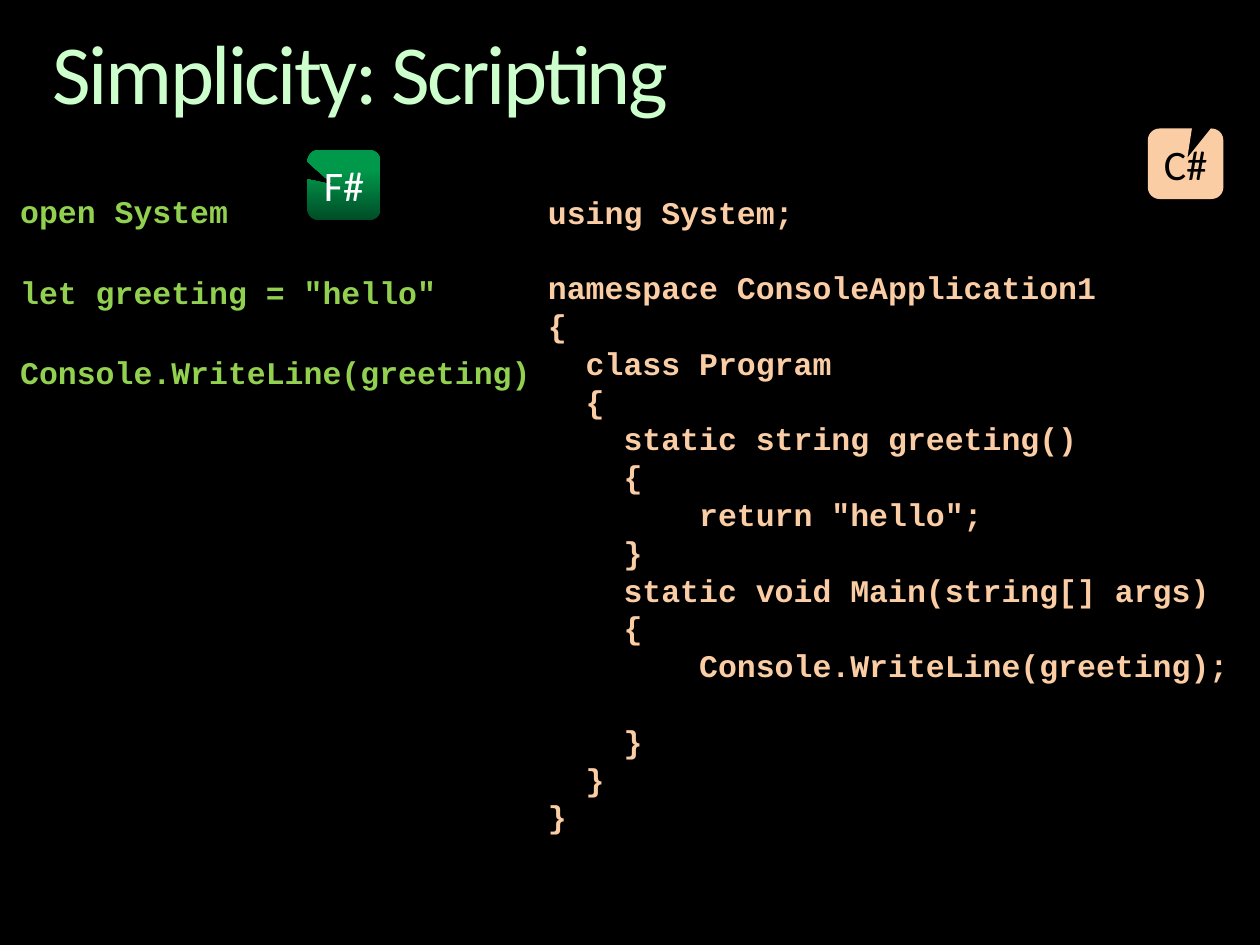
from dataclasses import dataclass

from pptx import Presentation
from pptx.dml.color import RGBColor
from pptx.enum.shapes import MSO_SHAPE
from pptx.enum.text import MSO_ANCHOR, MSO_AUTO_SIZE, PP_ALIGN
from pptx.util import Inches, Pt


@dataclass(frozen=True)
class Theme:
    back: str = "000000"
    title: str = "CCFFCC"
    lime: str = "92D050"
    peach: str = "FBCDA5"
    white: str = "FFFFFF"
    dark: str = "004C26"
    green: str = "00994B"
    sans: str = "Calibri"
    mono: str = "Courier New"
    head: int = 48
    label: int = 24
    code: int = 18


@dataclass(frozen=True)
class Code:
    box: tuple
    inset: tuple
    color: str
    text: str
    gap: float  # points before each line
    skip: float  # points before a line that follows a blank one
    pitch: float = 1.0


@dataclass(frozen=True)
class Badge:
    box: tuple
    text: str
    color: str
    fills: tuple
    tip: tuple


THEME = Theme()

FSHARP = """open System

let greeting = "hello"

Console.WriteLine(greeting)"""

CSHARP = """using System;

namespace ConsoleApplication1
{
  class Program
  {
    static string greeting()
    {
        return "hello";
    }
    static void Main(string[] args)
    {
        Console.WriteLine(greeting);

    }
  }
}"""

CODES = (
    Code((0.16, 1.56, 4.38, 4.95), (0, 0), THEME.lime, FSHARP, 3.6, 26.6, 0.9),
    Code((4.25, 1.48, 5.75, 4.95), (0.1, 0.05), THEME.peach, CSHARP, 0, 21.6),
)
BADGES = (
    Badge((2.44, 1.19, 0.58, 0.56), "F#", THEME.white,
          (THEME.dark, THEME.green), (-0.145, -0.005, 0.167)),
    Badge((9.11, 1.02, 0.6, 0.56), "C#", THEME.back,
          (THEME.peach,), (0.024, -0.085, 0.167)),
)


def rgb(code: str) -> RGBColor:
    return RGBColor.from_string(code)


def apply(item, **values) -> None:
    for name, value in values.items():
        setattr(item, name, value)


def style(font, name: str, size: int, color: str, bold: bool = False) -> None:
    apply(font, name=name, size=Pt(size), bold=bold)
    font.color.rgb = rgb(color)


def pad(frame, side: float, edge: float) -> None:
    apply(frame, margin_left=Inches(side), margin_right=Inches(side),
          margin_top=Inches(edge), margin_bottom=Inches(edge))


def draw_title(shape, text: str) -> None:
    box = (0.42, 0.25, 9.17, 0.73)
    apply(shape, **dict(zip(("left", "top", "width", "height"), map(Inches, box))))
    frame = shape.text_frame
    pad(frame, 0, 0)
    apply(frame, text=text, vertical_anchor=MSO_ANCHOR.TOP,
          word_wrap=True, auto_size=MSO_AUTO_SIZE.SHAPE_TO_FIT_TEXT)
    line = frame.paragraphs[0]
    apply(line, alignment=PP_ALIGN.LEFT, line_spacing=0.9)
    run = line.runs[0]
    style(run.font, THEME.sans, THEME.head, THEME.title)
    run.font._element.set("spc", "-150")


def draw_code(slide, code: Code) -> None:
    """Draw a listing, with its blank lines as space before the next line."""
    frame = slide.shapes.add_textbox(*map(Inches, code.box)).text_frame
    pad(frame, *code.inset)
    frame.word_wrap = True
    rows = code.text.split("\n")
    for i, row in enumerate(rows):
        if not row:
            continue
        line = frame.add_paragraph() if i else frame.paragraphs[0]
        line.line_spacing = code.pitch
        if i:
            line.space_before = Pt(code.gap if rows[i - 1] else code.skip)
        run = line.add_run()
        run.text = row
        style(run.font, THEME.mono, THEME.code, code.color, True)


def draw_badge(slide, badge: Badge) -> None:
    shape = slide.shapes.add_shape(
        MSO_SHAPE.ROUNDED_RECTANGULAR_CALLOUT, *map(Inches, badge.box))
    for i, value in enumerate(badge.tip):
        shape.adjustments[i] = value
    shape.shadow.inherit = False
    shape.line.fill.background()
    if len(badge.fills) > 1:
        shape.fill.gradient()
        shape.fill.gradient_angle = 90
        for stop, color, place in zip(shape.fill.gradient_stops, badge.fills, (0, 0.72)):
            stop.color.rgb = rgb(color)
            stop.position = place
    else:
        shape.fill.solid()
        shape.fill.fore_color.rgb = rgb(badge.fills[0])
    frame = shape.text_frame
    pad(frame, 0.1, 0.05)
    apply(frame, text=badge.text, word_wrap=False, vertical_anchor=MSO_ANCHOR.MIDDLE,
          auto_size=MSO_AUTO_SIZE.SHAPE_TO_FIT_TEXT)
    line = frame.paragraphs[0]
    line.alignment = PP_ALIGN.CENTER
    style(line.runs[0].font, THEME.sans, THEME.label, badge.color)


def main() -> None:
    deck = Presentation()
    apply(deck, slide_width=Inches(10), slide_height=Inches(7.5))
    slide = deck.slides.add_slide(deck.slide_layouts[5])
    slide.background.fill.solid()
    slide.background.fill.fore_color.rgb = rgb(THEME.back)
    for code in CODES:
        draw_code(slide, code)
    draw_title(slide.shapes.title, "Simplicity: Scripting")
    for badge in BADGES:
        draw_badge(slide, badge)
    deck.save("out.pptx")


if __name__ == "__main__":
    main()
